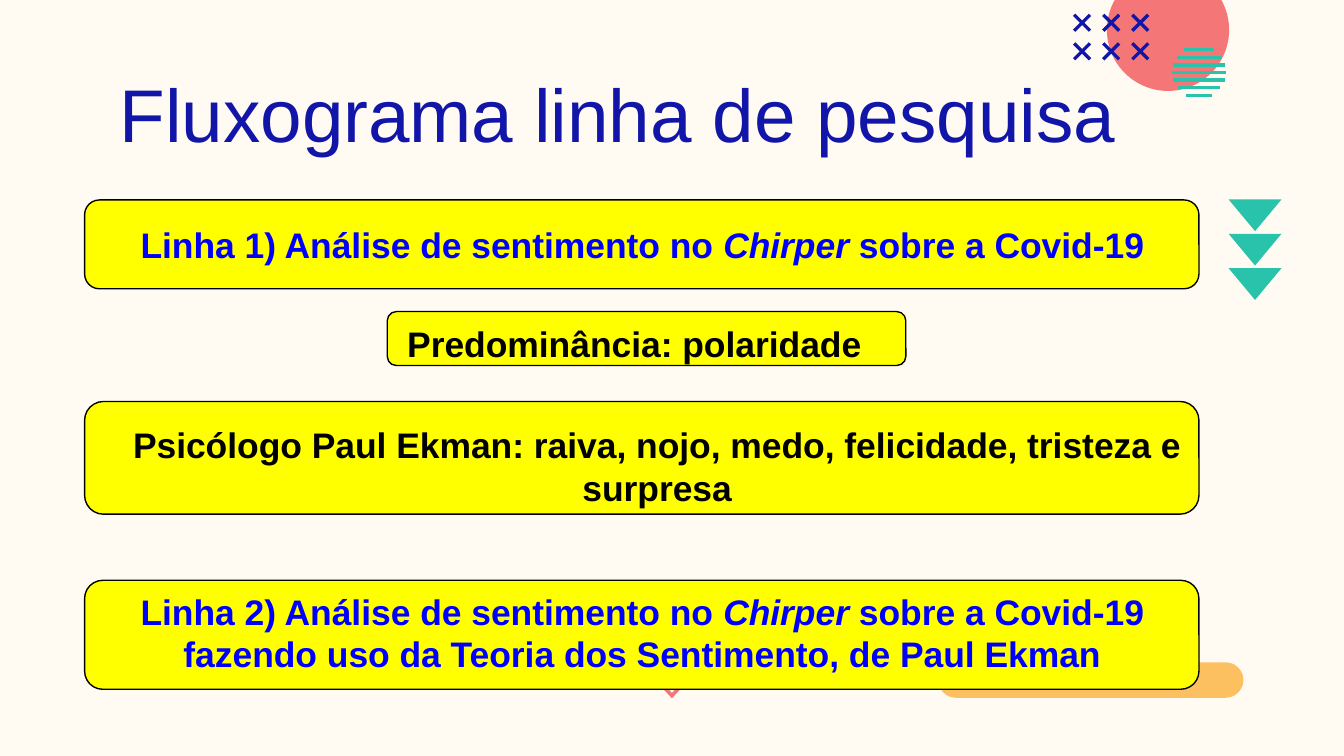
from lxml.etree import SubElement
from pptx import Presentation
from pptx.dml.color import RGBColor
from pptx.enum.shapes import MSO_CONNECTOR, MSO_SHAPE
from pptx.enum.text import MSO_ANCHOR, MSO_AUTO_SIZE, PP_ALIGN
from pptx.oxml.ns import qn
from pptx.util import Cm, Pt

CREAM = RGBColor(0xFF, 0xFA, 0xF2)
CORAL = RGBColor(0xF5, 0x76, 0x76)
TEAL = RGBColor(0x29, 0xC2, 0xAA)
NAVY = RGBColor(0x11, 0x16, 0xA8)
ORANGE = RGBColor(0xFD, 0xC0, 0x61)
YELLOW = RGBColor(0xFF, 0xFF, 0x00)
BLUE = RGBColor(0x00, 0x00, 0xFF)
BLACK = RGBColor(0x00, 0x00, 0x00)
INSET = Cm(0.25)


def paint(sp, fill, line=None):
    sp.shadow.inherit = False
    sp.fill.solid()
    sp.fill.fore_color.rgb = fill
    if line is None:
        sp.line.fill.background()
    else:
        sp.line.color.rgb = line
        sp.line.width = Pt(0.75)


def add_shape(s, kind, box, fill, line=None):
    sp = s.shapes.add_shape(kind, *map(Cm, box))
    paint(sp, fill, line)
    return sp


def add_line(s, x1, y1, x2, y2, color):
    ln = s.shapes.add_connector(MSO_CONNECTOR.STRAIGHT, Cm(x1), Cm(y1), Cm(x2), Cm(y2))
    ln.line.color.rgb = color
    ln.line.width = Pt(1.75)
    SubElement(ln._element.spPr, qn("a:effectLst"))


def set_insets(tf):
    tf.margin_left = tf.margin_right = tf.margin_top = tf.margin_bottom = INSET
    tf.word_wrap = True


def add_title(s, box, text):
    title = s.shapes.title
    title.left, title.top, title.width, title.height = map(Cm, box)
    tf = title.text_frame
    set_insets(tf)
    tf.auto_size = MSO_AUTO_SIZE.NONE
    tf.vertical_anchor = MSO_ANCHOR.MIDDLE
    tf.text = text
    p = tf.paragraphs[0]
    p.alignment = PP_ALIGN.LEFT
    p.font.name, p.font.size, p.font.color.rgb = "Arial", Pt(40), NAVY


def add_stripes(s, box):
    """Horizontal stripes that together suggest a disc."""
    left, top, width, height = box
    lengths = [0.55, 0.84, 0.97, 1.02, 0.97, 0.81, 0.5]
    center = left + width / 2
    for i, length in enumerate(lengths):
        y = top + i * height / (len(lengths) - 1)
        add_line(s, center - length / 2, y, center + length / 2, y, TEAL)


def add_crosses(s, box, rows=2, cols=3, size=0.3):
    left, top, width, height = box
    for row in range(rows):
        for col in range(cols):
            x = left + col * (width - size) / (cols - 1)
            y = top + row * (height - size) / (rows - 1)
            add_line(s, x, y, x + size, y + size, NAVY)
            add_line(s, x, y + size, x + size, y, NAVY)


def add_triangles(s, box, count=3, pitch=0.65):
    left, top, width, height = box
    for i in range(count):
        add_shape(s, MSO_SHAPE.FLOWCHART_MERGE,
                  (left, top + i * pitch, width, height), TEAL)


def add_chevron(s, box, thick=0.05):
    left, top, width, height = box
    mid, right, bottom = left + width / 2, left + width, top + height
    points = [(left, top + thick), (mid, bottom), (right, top + thick),
              (right - thick, top), (mid, bottom - 2 * thick), (left + thick, top)]
    points = [(Cm(x), Cm(y)) for x, y in points]
    fb = s.shapes.build_freeform(*points[0])
    fb.add_line_segments(points[1:])
    paint(fb.convert_to_shape(), CORAL)


def add_step(s, box, text_box, color, runs):
    """A rounded box with its text; runs are (text, italic) pairs."""
    add_shape(s, MSO_SHAPE.ROUNDED_RECTANGLE, box, YELLOW, BLACK)
    tf = s.shapes.add_textbox(*map(Cm, text_box)).text_frame
    set_insets(tf)
    tf.auto_size = MSO_AUTO_SIZE.SHAPE_TO_FIT_TEXT
    p = tf.paragraphs[0]
    p.alignment = PP_ALIGN.CENTER
    p.font.name, p.font.size, p.font.bold = "Arial", Pt(19), True
    p.font.color.rgb = color
    for text, italic in runs:
        r = p.add_run()
        r.text = text
        if italic:
            r.font.italic = True


def main():
    prs = Presentation()
    prs.slide_width, prs.slide_height = Cm(25.4), Cm(14.29)
    s = prs.slides.add_slide(prs.slide_layouts[5])
    s.background.fill.solid()
    s.background.fill.fore_color.rgb = CREAM

    # Decoration
    add_shape(s, MSO_SHAPE.OVAL, (20.92, -0.59, 2.31, 2.31), CORAL)
    add_stripes(s, (22.15, 0.94, 1.02, 0.86))
    add_crosses(s, (20.3, 0.28, 1.4, 0.84))
    add_triangles(s, (23.22, 3.77, 1, 0.6))
    bar = add_shape(s, MSO_SHAPE.ROUNDED_RECTANGLE, (17.73, 12.52, 5.77, 0.67), ORANGE)
    bar.adjustments[0] = 0.5
    add_chevron(s, (12.42, 12.85, 0.56, 0.35))

    # Title
    add_title(s, (2.01, 1.47, 20.88, 1.32), "Fluxograma linha de pesquisa")

    # Flow steps
    line_1 = [("Linha 1) Análise de sentimento no ", False), ("Chirper ", True),
              ("sobre a Covid-19", False)]
    line_2 = [("Linha 2) Análise de sentimento no ", False), ("Chirper ", True),
              ("sobre a Covid-19 fazendo uso da Teoria dos Sentimento, de Paul Ekman", False)]
    emotions = "Psicólogo Paul Ekman: raiva, nojo, medo, felicidade, tristeza e surpresa"
    left, width, text_width = 1.6, 21.06, 20.42
    add_step(s, (left, 10.97, width, 2.06), (1.93, 10.9, text_width, 2.13), BLUE, line_2)
    add_step(s, (left, 7.59, width, 2.13), (2.21, 7.75, text_width, 2.13), BLACK,
             [(emotions, False)])
    add_step(s, (left, 3.78, width, 1.68), (1.93, 3.96, text_width, 1.32), BLUE, line_1)
    add_step(s, (7.32, 5.89, 9.8, 1.02), (7.09, 5.84, 9.8, 1.32), BLACK,
             [("Predominância: polaridade", False)])

    prs.save("out.pptx")


if __name__ == "__main__":
    main()
